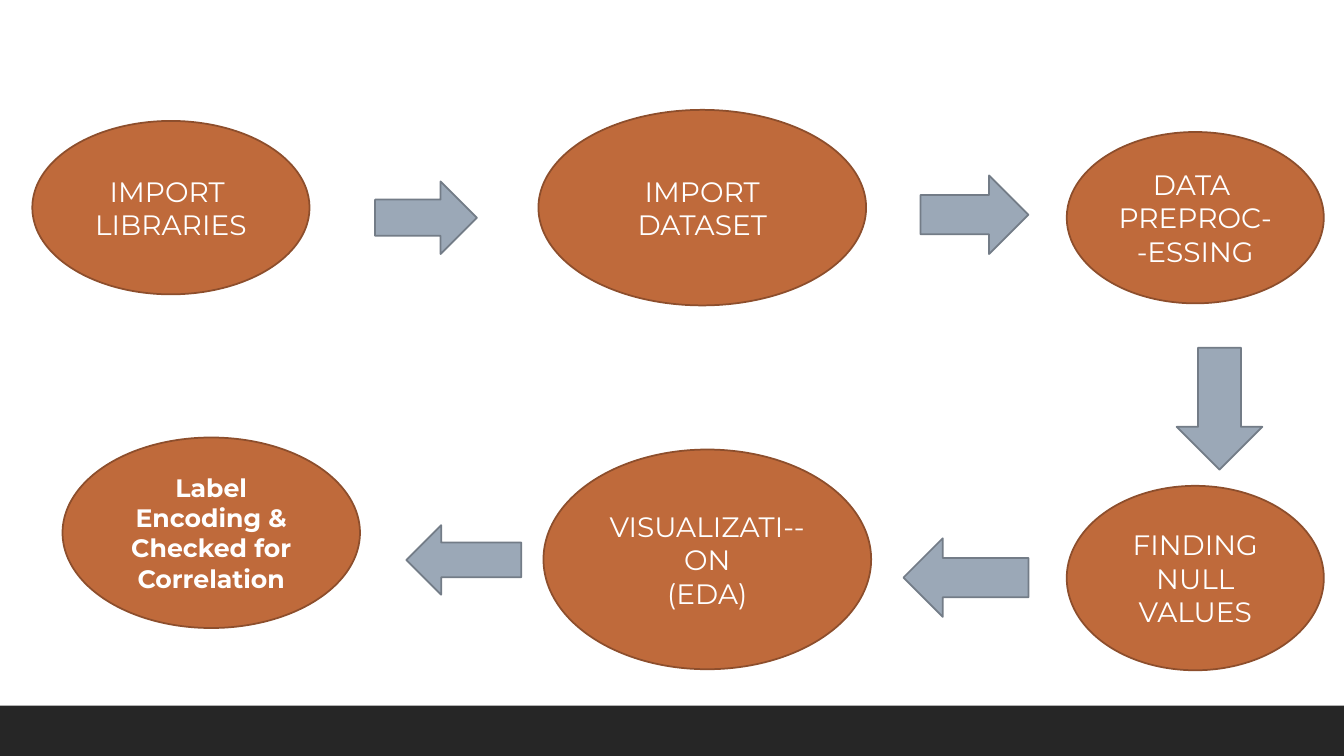
import pptx
import pptx.dml.color
import pptx.enum.shapes
import pptx.enum.text
import pptx.util

PX = 9144  # 100 px to the inch
SHAPE = pptx.enum.shapes.MSO_SHAPE


def color(hex_value):
    return pptx.dml.color.RGBColor.from_string(hex_value)


def add_filled(kind, frame, fill, line=None):
    """Add a preset shape at frame (left, top, width, height in px)."""
    shape = slide.shapes.add_shape(kind, *(length * PX for length in frame))
    shape.shadow.inherit = False
    shape.fill.solid()
    shape.fill.fore_color.rgb = color(fill)
    if line:
        shape.line.color.rgb = color(line)
        shape.line.width = pptx.util.Pt(1.25)
    else:
        shape.line.fill.background()
    return shape


deck = pptx.Presentation()
deck.slide_width = 1333 * PX
deck.slide_height = 750 * PX
slide = deck.slides.add_slide(deck.slide_layouts[6])

add_filled(SHAPE.RECTANGLE, (0, 700, 1333, 50), "262626")

# frame, paragraphs, text size, bold
steps = [
    ((32, 120, 275, 172), ["IMPORT ", "LIBRARIES"], 20, False),
    ((534, 109, 325, 194), ["IMPORT", "DATASET"], 20, False),
    ((1058, 131, 255, 170), ["DATA ", "PREPROC--ESSING"], 20, False),
    ((1058, 482, 255, 183), ["FINDING NULL", "VALUES"], 20, False),
    ((539, 446, 325, 218), ["VISUALIZATI--ON", "(EDA)"], 20, False),
    ((62, 434, 295, 189), ["Label Encoding & Checked for Correlation"], 18, True),
]
for frame, lines, size, bold in steps:
    box = add_filled(SHAPE.OVAL, frame, "BF6A3B", "8D4E2C").text_frame
    box.word_wrap = True
    box.vertical_anchor = pptx.enum.text.MSO_ANCHOR.MIDDLE
    for index, line in enumerate(lines):
        para = box.add_paragraph() if index else box.paragraphs[0]
        para.alignment = pptx.enum.text.PP_ALIGN.CENTER
        span = para.add_run()
        span.text = line
        span.font.name = "Montserrat"
        span.font.size = pptx.util.Pt(size)
        span.font.bold = bold
        span.font.color.rgb = color("FFFFFF")

# frame before turning, clockwise angle
arrows = [
    ((372, 180, 101, 72), 0),
    ((913, 174, 107, 78), 0),
    ((1149, 363, 121, 85), 90),
    ((896, 534, 124, 78), 180),
    ((403, 521, 114, 69), 180),
]
for frame, angle in arrows:
    arrow = add_filled(SHAPE.RIGHT_ARROW, frame, "9BA8B7", "737C87")
    arrow.rotation = angle

deck.save("out.pptx")
